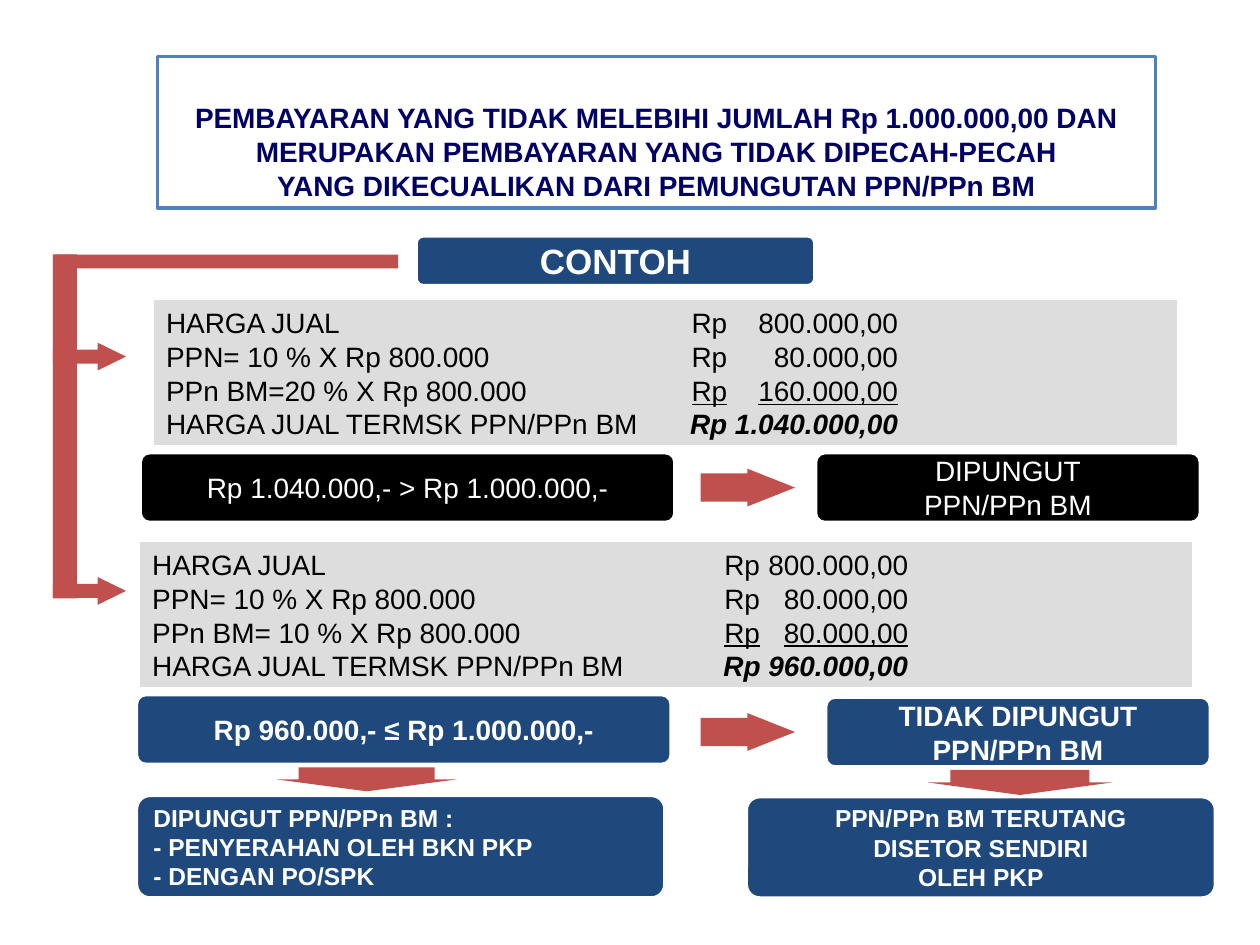
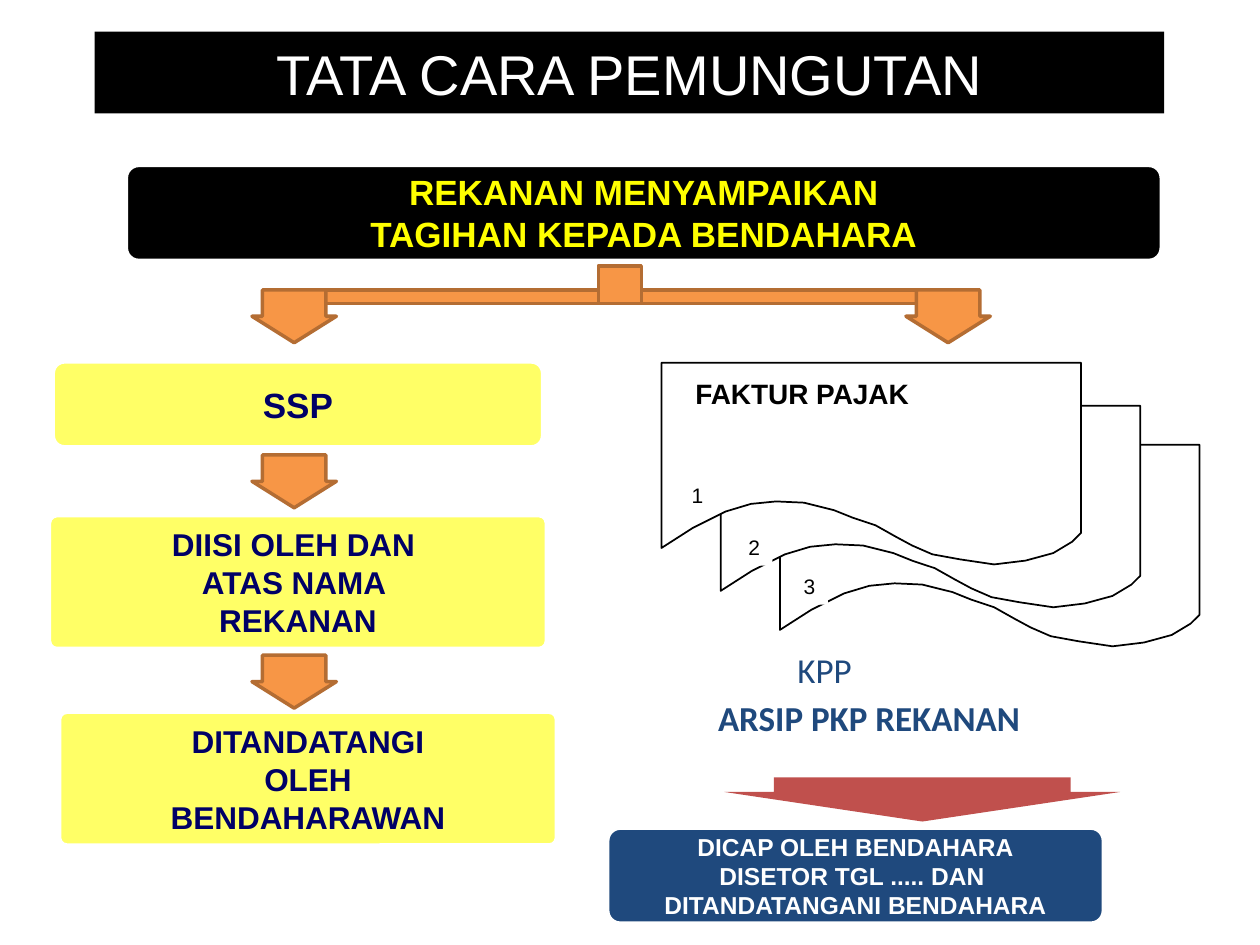
"""Builds two slides on the collection of PPN/PPn BM."""
from lxml.etree import SubElement
from pptx import Presentation
from pptx.dml.color import RGBColor
from pptx.enum.shapes import MSO_SHAPE
from pptx.enum.text import MSO_ANCHOR, PP_ALIGN
from pptx.oxml.ns import qn
from pptx.util import Pt

PX = 9144
WHITE = RGBColor(0xFF, 0xFF, 0xFF)
BLACK = RGBColor(0x00, 0x00, 0x00)
NAVY = RGBColor(0x00, 0x00, 0x66)
BLUE = RGBColor(0x1F, 0x49, 0x7D)
SKY = RGBColor(0x4F, 0x81, 0xBD)
GREY = RGBColor(0xDD, 0xDD, 0xDD)
RED = RGBColor(0xC0, 0x50, 0x4D)
ORANGE = RGBColor(0xF7, 0x96, 0x46)
BROWN = RGBColor(0xB4, 0x6D, 0x33)
YELLOW = RGBColor(0xFF, 0xFF, 0x00)
LEMON = RGBColor(0xFF, 0xFF, 0x66)
RECT, ROUND = MSO_SHAPE.RECTANGLE, MSO_SHAPE.ROUNDED_RECTANGLE
RIGHT, DOWN = MSO_SHAPE.RIGHT_ARROW, MSO_SHAPE.DOWN_ARROW
LEFT, CENTER = PP_ALIGN.LEFT, PP_ALIGN.CENTER
TOP, MIDDLE, BOTTOM = MSO_ANCHOR.TOP, MSO_ANCHOR.MIDDLE, MSO_ANCHOR.BOTTOM


def add_box(s, kind, at, fill, line=None, width=1, adj=()):
    sp = s.shapes.add_shape(kind, *[v * PX for v in at])
    sp.shadow.inherit = False
    sp.fill.solid()
    sp.fill.fore_color.rgb = fill
    if line is None:
        sp.line.fill.background()
    else:
        sp.line.color.rgb = line
        sp.line.width = Pt(width)
    for i, value in enumerate(adj):
        sp.adjustments[i] = value
    return sp


def write(sp, text, size, color, bold=False, align=CENTER, anchor=MIDDLE, wrap=False, name="Arial"):
    tf = sp.text_frame
    frame = {"word_wrap": wrap, "vertical_anchor": anchor, "margin_left": 10 * PX,
             "margin_right": 10 * PX, "margin_top": 5 * PX, "margin_bottom": 5 * PX}
    for key, value in frame.items():
        setattr(tf, key, value)
    tf.text = text
    for p in tf.paragraphs:
        p.alignment = align
        for r in p.runs:
            for key, value in {"size": Pt(size), "bold": bold, "name": name}.items():
                setattr(r.font, key, value)
            r.font.color.rgb = color


prs = Presentation()
prs.slide_width, prs.slide_height = 1000 * PX, 750 * PX

s = prs.slides.add_slide(prs.slide_layouts[6])
sp = add_box(s, RECT, (125, 45, 792, 120), WHITE, SKY, 2)
write(sp, "PEMBAYARAN YANG TIDAK MELEBIHI JUMLAH Rp 1.000.000,00 DAN\n"
      "MERUPAKAN PEMBAYARAN YANG TIDAK DIPECAH-PECAH\n"
      "YANG DIKECUALIKAN DARI PEMUNGUTAN PPN/PPn BM", 16, NAVY, True, anchor=BOTTOM, wrap=True)

calculations = [
    ((122, 238, 813, 116), 417, 581, [
        ("HARGA JUAL", "Rp\t800.000,00"),
        ("PPN= 10 % X Rp 800.000", "Rp\t80.000,00"),
        ("PPn BM=20 % X Rp 800.000", "Rp\t160.000,00"),
        ("HARGA JUAL TERMSK PPN/PPn BM", "Rp 1.040.000,00")]),
    ((111, 430, 836, 116), 454, 600, [
        ("HARGA JUAL", "Rp\t800.000,00"),
        ("PPN= 10 % X Rp 800.000", "Rp\t80.000,00"),
        ("PPn BM= 10 % X Rp 800.000", "Rp\t80.000,00"),
        ("HARGA JUAL TERMSK PPN/PPn BM", "Rp 960.000,00")]),
]
for at, rp_tab, amount_tab, rows in calculations:
    sp = add_box(s, RECT, at, GREY, WHITE, 0.75)
    write(sp, "\n".join(label + "\t" for label, amount in rows), 16, BLACK,
          align=LEFT, anchor=TOP, wrap=True)
    for i, (p, (label, amount)) in enumerate(zip(sp.text_frame.paragraphs, rows)):
        total = i == len(rows) - 1
        tabs = SubElement(p._p.get_or_add_pPr(), qn("a:tabLst"))
        for pos, side in [(rp_tab, "l"), (amount_tab, "r")][total:]:
            SubElement(tabs, qn("a:tab"), pos=str(pos * PX), algn=side)
        r = p.add_run()
        r.text = amount
        font = {"size": Pt(16), "name": "Arial", "bold": total, "italic": total,
                "underline": i == len(rows) - 2}
        for key, value in font.items():
            setattr(r.font, key, value)
        r.font.color.rgb = BLACK

for at, fill, size, bold, align, text in [
    ((331, 188, 315, 38), BLUE, 20, True, CENTER, "CONTOH"),
    ((112, 360, 423, 54), BLACK, 16, False, CENTER, "Rp 1.040.000,- > Rp 1.000.000,-"),
    ((648, 360, 304, 54), BLACK, 16, False, CENTER, "DIPUNGUT\nPPN/PPn BM"),
    ((109, 552, 423, 54), BLUE, 16, True, CENTER, "Rp 960.000,- ≤ Rp 1.000.000,-"),
    ((656, 554, 304, 54), BLUE, 16, True, CENTER, "TIDAK DIPUNGUT\nPPN/PPn BM"),
    ((593, 633, 371, 79), BLUE, 14, True, CENTER, "PPN/PPn BM TERUTANG\nDISETOR SENDIRI\nOLEH PKP"),
    ((109, 632, 418, 80), BLUE, 14, True, LEFT,
     "DIPUNGUT PPN/PPn BM :\n- PENYERAHAN OLEH BKN PKP\n- DENGAN PO/SPK"),
]:
    sp = add_box(s, ROUND, at, fill, WHITE, adj=[0.125])
    write(sp, text, size, WHITE, bold, align)

for kind, at, adj in [
    (RIGHT, (556, 372, 75, 30), (0.75, 1.26)),
    (RIGHT, (556, 566, 75, 30), (0.75, 1.26)),
    (RECT, (44, 202, 272, 11), ()),
    (RECT, (42, 202, 19, 273), ()),
    (RIGHT, (42, 458, 58, 22), (0.5, 1.02)),
    (RIGHT, (42, 272, 58, 22), (0.5, 1.02)),
    (DOWN, (219, 609, 144, 19), (0.75, 0.5)),
    (DOWN, (736, 611, 147, 20), (0.75, 0.5)),
]:
    add_box(s, kind, at, RED, adj=adj)

s = prs.slides.add_slide(prs.slide_layouts[6])
sp = add_box(s, RECT, (75, 25, 849, 65), BLACK)
write(sp, "TATA CARA PEMUNGUTAN", 32, WHITE, anchor=BOTTOM, wrap=True)

page = [(807, 288), (525, 288), (525, 435), (550, 419), (576, 406), (596, 400), (616, 398),
        (638, 399), (662, 405), (677, 411), (695, 417), (711, 426), (724, 433), (740, 440),
        (762, 444), (789, 448), (814, 445), (836, 439), (851, 430), (858, 423), (858, 288)]
for dx, dy in [(94, 65), (47, 34), (0, 0)]:
    points = [(x + dx, y + dy) for x, y in page]
    builder = s.shapes.build_freeform(*points[0], scale=PX)
    builder.add_line_segments(points[1:], close=True)
    sp = builder.convert_to_shape()
    sp.shadow.inherit = False
    sp.fill.solid()
    sp.fill.fore_color.rgb = WHITE
    sp.line.color.rgb = BLACK
    sp.line.width = Pt(1)

for at, size, bold, text in [
    ((542, 294, 305, 36), 16, True, "FAKTUR PAJAK"),
    ((539, 378, 29, 30), 12, False, "1"),
    ((584, 419, 29, 30), 12, False, "2"),
    ((628, 450, 29, 30), 12, False, "3"),
]:
    sp = add_box(s, RECT, at, WHITE)
    write(sp, text, size, BLACK, bold, LEFT, TOP)

for at, bold, text in [
    ((560, 548, 305, 43), True, "ARSIP PKP REKANAN"),
    ((623, 510, 71, 43), False, "KPP"),
]:
    sp = s.shapes.add_textbox(*[v * PX for v in at])
    write(sp, text, 20, BLUE, bold, LEFT, TOP, name="Calibri")

for at, adj, fill, color, size, text in [
    ((101, 132, 820, 74), 0.125, BLACK, YELLOW, 20,
     "REKANAN MENYAMPAIKAN\nTAGIHAN KEPADA BENDAHARA"),
    ((43, 288, 387, 66), 0.125, LEMON, NAVY, 20, "SSP"),
    ((40, 410, 393, 104), 0.05, LEMON, NAVY, 18, "DIISI OLEH DAN \nATAS NAMA \nREKANAN"),
    ((48, 566, 393, 104), 0.05, LEMON, NAVY, 18, "DITANDATANGI\nOLEH\nBENDAHARAWAN"),
    ((483, 658, 392, 74), 0.125, BLUE, WHITE, 14,
     "DICAP OLEH BENDAHARA\nDISETOR TGL ..... DAN \nDITANDATANGANI BENDAHARA"),
]:
    sp = add_box(s, ROUND, at, fill, WHITE, adj=[adj])
    write(sp, text, size, color, True)

for at in [(224, 230, 551, 11), (475, 211, 34, 30)]:
    add_box(s, RECT, at, ORANGE, BROWN, 2)
for x, y in [(200, 361), (200, 520), (200, 230), (719, 230)]:
    add_box(s, DOWN, (x, y, 67, 42), ORANGE, BROWN, 2, (0.75, 0.5))
add_box(s, DOWN, (575, 617, 314, 35), RED, adj=(0.75, 0.67))

prs.save("out.pptx")
